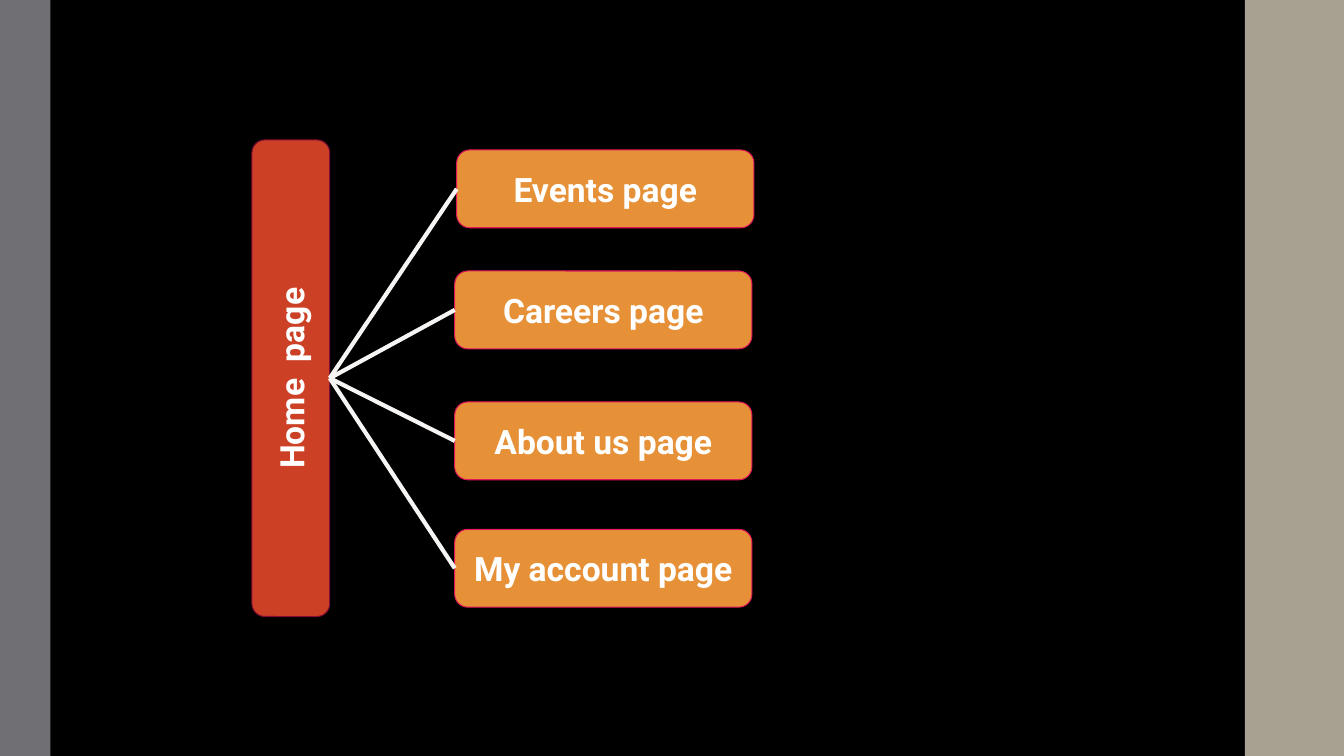
from lxml import etree
from pptx import Presentation
from pptx.dml.color import RGBColor
from pptx.enum import shapes, text
from pptx.oxml import ns
from pptx.util import Cm, Pt

# Content: page name, left and top in cm
HOME = "Home  page"
PAGES = [
    ("Events page", 11.51, 3.78),
    ("Careers page", 11.46, 6.83),
    ("About us page", 11.46, 10.13),
    ("My account page", 11.46, 13.34),
]

# Measures in cm
SLIDE_WIDTH, SLIDE_HEIGHT = 33.87, 19.05
PAGE_WIDTH, BOX_HEIGHT = 7.49, 1.96
HOME_LENGTH = 12.01
HOME_X, HOME_Y = 7.33, 9.53  # centre of the upright home box
INSET = 0.33


def color(value):
    return RGBColor.from_string(value)


def add_block(slide, kind, left, top, width, height, fill):
    block = slide.shapes.add_shape(kind, Cm(left), Cm(top), Cm(width), Cm(height))
    block.shadow.inherit = False
    block.fill.solid()
    block.fill.fore_color.rgb = color(fill)
    block.line.fill.background()
    return block


def add_page_box(slide, label, left, top, width, fill, outline):
    box = add_block(slide, shapes.MSO_SHAPE.ROUNDED_RECTANGLE,
                    left, top, width, BOX_HEIGHT, fill)
    box.line.color.rgb = color(outline)
    box.line.width = Pt(0.75)
    frame = box.text_frame
    frame.text = label
    frame.word_wrap = True
    frame.vertical_anchor = text.MSO_ANCHOR.MIDDLE
    frame.margin_left = frame.margin_right = Cm(INSET)
    frame.margin_top = frame.margin_bottom = Cm(INSET)
    para = frame.paragraphs[0]
    para.alignment = text.PP_ALIGN.CENTER
    font = para.runs[0].font
    font.name, font.size, font.bold = "Roboto", Pt(24), True
    font.color.rgb = color("FFFFFF")
    return box


def add_link(slide, x1, y1, x2, y2):
    link = slide.shapes.add_connector(shapes.MSO_CONNECTOR.STRAIGHT,
                                      Cm(x1), Cm(y1), Cm(x2), Cm(y2))
    link.line.color.rgb = color("F6F5F4")
    link.line.width = Pt(3)
    etree.SubElement(link._element.spPr, ns.qn("a:effectLst"))


def main():
    deck = Presentation()
    deck.slide_width, deck.slide_height = Cm(SLIDE_WIDTH), Cm(SLIDE_HEIGHT)
    slide = deck.slides.add_slide(deck.slide_layouts[6])

    # Background and side bands
    slide.background.fill.solid()
    slide.background.fill.fore_color.rgb = color("000000")
    for left, width, fill in [(0, 1.27, "6F6F74"), (31.37, 2.5, "A7A192")]:
        add_block(slide, shapes.MSO_SHAPE.RECTANGLE,
                  left, 0, width, SLIDE_HEIGHT, fill)

    # Home page, turned to read upwards
    home = add_page_box(slide, HOME, HOME_X - HOME_LENGTH / 2,
                        HOME_Y - BOX_HEIGHT / 2, HOME_LENGTH, "CC4125", "840D35")
    home.rotation = 270

    # Pages, each linked to the right edge of the home box
    for label, left, top in PAGES:
        add_page_box(slide, label, left, top, PAGE_WIDTH, "E69138", "E1165A")
        add_link(slide, HOME_X + BOX_HEIGHT / 2, HOME_Y, left, top + BOX_HEIGHT / 2)

    deck.save("out.pptx")


if __name__ == "__main__":
    main()
